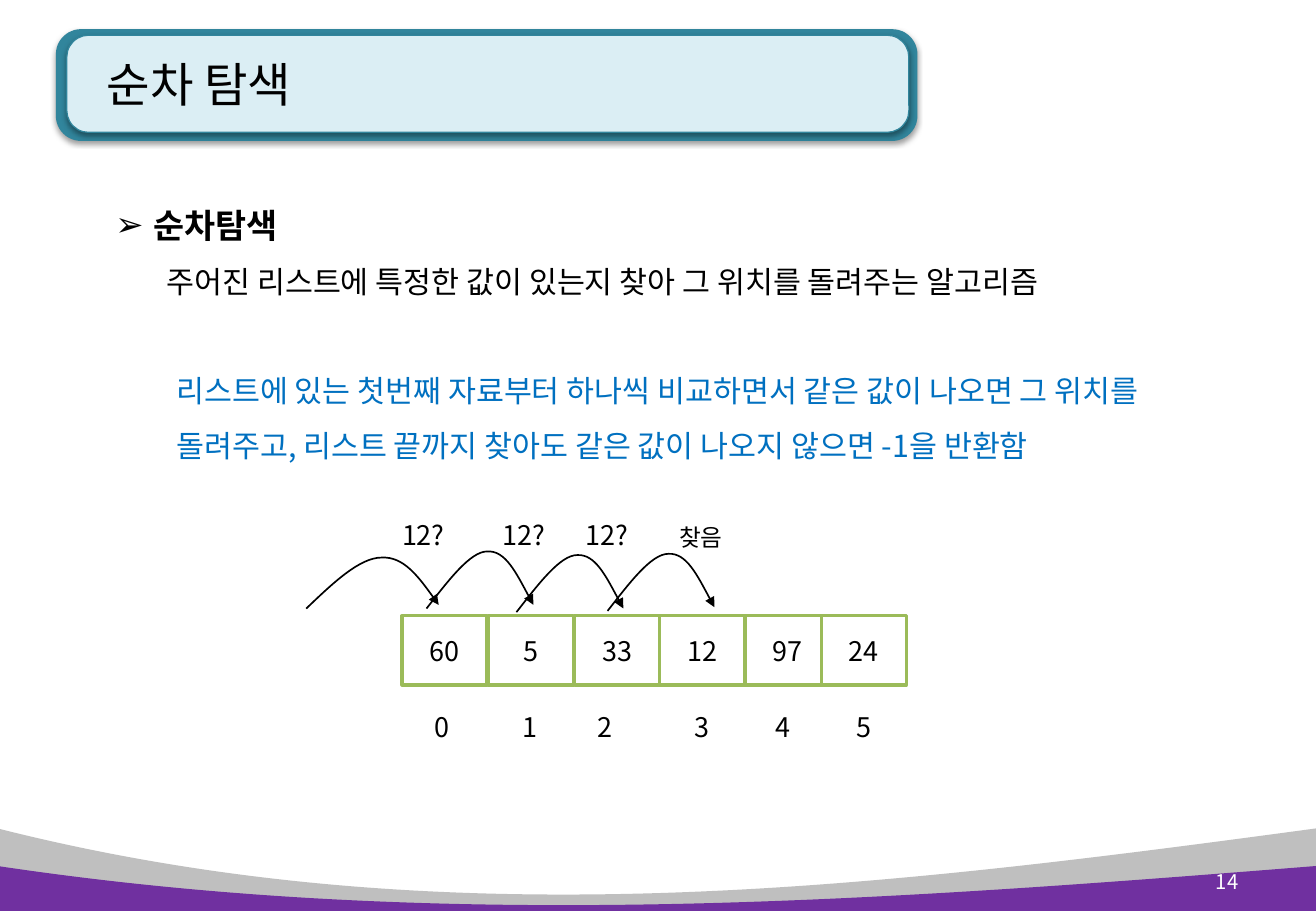
from lxml import etree
from pptx import Presentation
from pptx import util as u
from pptx.dml.color import RGBColor
from pptx.enum import shapes, text
from pptx.oxml.ns import qn

PX = 9144  # EMU in one px, 100 px to the inch
FONT = "Noto Sans CJK KR"
COLORS = {
    "black": "000000", "white": "FFFFFF", "blue": "0070C0", "gray": "BFBFBF",
    "purple": "7030A0", "teal": "31859C", "pale": "DBEEF4", "green": "9BBB59",
}

TITLE = "순차 탐색"
PAGE_NUMBER = "14"
# text, size, bold, colour, bullet, left margin, first-line indent, space before (pt)
BODY = [
    ("순차탐색", 20, True, "black", "➢", 31, -31, 0),
    ("주어진 리스트에 특정한 값이 있는지 찾아 그 위치를 돌려주는 알고리즘",
     18, False, "black", None, 42, 0, 0),
    ("리스트에 있는 첫번째 자료부터 하나씩 비교하면서 같은 값이 나오면 그 위치를 "
     "돌려주고, 리스트 끝까지 찾아도 같은 값이 나오지 않으면 -1을 반환함",
     18, False, "blue", None, 50, 0, 32),
]

# text, left
VALUES = [("60", 331), ("5", 402), ("33", 473), ("12", 543), ("97", 613), ("24", 676)]
INDEXES = [("0", 329), ("1", 401), ("2", 463), ("3", 543), ("4", 609), ("5", 676)]
CELL_WIDTH, CELL_HEIGHT = 70, 57
VALUE_TOP, INDEX_TOP = 507, 570
# text, left, top, height, size
QUESTIONS = [("12?", 321, 422, 37, 16), ("12?", 404, 422, 37, 16),
             ("12?", 472, 422, 37, 16), ("찾음", 549, 426, 34, 14)]

# An outline is a start point and segments: one point is a line, three are a curve
WAVES = [
    ("gray", (-2, 682), [[(365, 775), (720, 731), (1083, 682)],
                         [(1083, 750)], [(-2, 750)]]),
    ("purple", (-2, 713), [[(365, 768), (720, 742), (1083, 713)],
                           [(1083, 753)], [(-2, 753)]]),
]
FIRST_HOP = ((252, 501), [[(274, 480), (296, 459), (314, 459)],
                          [(332, 458), (347, 478), (361, 498)]])
NEXT_HOP = ((351, 501), [[(369, 478), (387, 454), (401, 454)],
                         [(416, 453), (427, 476), (439, 498)]])
HOP_SHIFTS = [(0, 0), (74, 3), (149, 2)]


def px(*lengths):
    return [u.Emu(length * PX) for length in lengths]


def rgb(name):
    return RGBColor.from_string(COLORS[name])


def write(paragraph, words, size=16, color="black", bold=False, align=None):
    paragraph.alignment = align
    run = paragraph.add_run()
    run.text = words
    font = run.font
    font.size, font.bold, font.name = u.Pt(size), bold, FONT
    font.color.rgb = rgb(color)
    east_asian = etree.SubElement(font._element, qn("a:ea"))
    east_asian.set("typeface", FONT)


def paint(shape, fill=None, line=None, width=1):
    shape.shadow.inherit = False
    if fill:
        shape.fill.solid()
        shape.fill.fore_color.rgb = rgb(fill)
    else:
        shape.fill.background()
    if line:
        shape.line.color.rgb = rgb(line)
        shape.line.width = u.Pt(width)
    else:
        shape.line.fill.background()


def add_outline(slide, start, segments, close):
    """Draw a freeform through the segment ends, then bend the curved segments."""
    builder = slide.shapes.build_freeform(*px(*start))
    builder.add_line_segments([px(*segment[-1]) for segment in segments], close=close)
    shape = builder.convert_to_shape()
    for step, segment in zip(list(shape.element.iter(qn("a:lnTo"))), segments):
        if len(segment) == 3:
            step.tag = qn("a:cubicBezTo")
            for position, (x, y) in enumerate(segment[:2]):
                control = etree.Element(qn("a:pt"))
                control.set("x", str(x * PX - shape.left))
                control.set("y", str(y * PX - shape.top))
                step.insert(position, control)
    return shape


def add_banner_plate(slide, box, fill, line=None):
    plate = slide.shapes.add_shape(shapes.MSO_SHAPE.ROUNDED_RECTANGLE, *px(*box))
    plate.adjustments[0] = 0.225
    paint(plate, fill, line, 0.75)
    effects = plate.element.spPr.find(qn("a:effectLst"))
    shadow = etree.SubElement(effects, qn("a:outerShdw"), blurRad="40000",
                              dist="20000", dir="5400000", rotWithShape="0")
    color = etree.SubElement(shadow, qn("a:srgbClr"), val=COLORS["black"])
    etree.SubElement(color, qn("a:alpha"), val="38000")
    return plate


def add_label(slide, box, words, anchor=text.MSO_ANCHOR.TOP, **style):
    frame = slide.shapes.add_textbox(*px(*box)).text_frame
    frame.word_wrap = True
    frame.vertical_anchor = anchor
    write(frame.paragraphs[0], words, **style)


def add_cells(group, cells, top, line=None):
    for words, left in cells:
        cell = group.shapes.add_shape(shapes.MSO_SHAPE.RECTANGLE,
                                      *px(left, top, CELL_WIDTH, CELL_HEIGHT))
        paint(cell, "white", line, 2)
        cell.text_frame.vertical_anchor = text.MSO_ANCHOR.MIDDLE
        write(cell.text_frame.paragraphs[0], words, align=text.PP_ALIGN.CENTER)


def add_hop(slide, start, segments):
    hop = add_outline(slide, start, segments, close=False)
    paint(hop, line="black")
    etree.SubElement(hop.element.spPr.find(qn("a:ln")), qn("a:tailEnd"), type="triangle")


def place(shape, box):
    shape.left, shape.top, shape.width, shape.height = px(*box)


def fill_title(title):
    place(title, (69, 22, 678, 94))
    frame = title.text_frame
    frame.auto_size = text.MSO_AUTO_SIZE.NONE
    frame.vertical_anchor = text.MSO_ANCHOR.MIDDLE
    frame.margin_left = px(19)[0]
    write(frame.paragraphs[0], TITLE, size=28, align=text.PP_ALIGN.LEFT)


def fill_body(body):
    place(body, (85, 147, 890, 288))
    frame = body.text_frame
    frame.auto_size = text.MSO_AUTO_SIZE.NONE
    for number, (words, size, bold, color, bullet, margin, indent, before) in enumerate(BODY):
        paragraph = frame.add_paragraph() if number else frame.paragraphs[0]
        properties = paragraph._p.get_or_add_pPr()
        properties.set("marL", str(margin * PX))
        properties.set("indent", str(indent * PX))
        if bullet:
            etree.SubElement(properties, qn("a:buChar"), char=bullet)
        else:
            etree.SubElement(properties, qn("a:buNone"))
        paragraph.line_spacing = 1.5
        paragraph.space_before = u.Pt(before)
        write(paragraph, words, size=size, color=color, bold=bold)


def main():
    presentation = Presentation()
    presentation.slide_width, presentation.slide_height = px(1083, 750)
    slide = presentation.slides.add_slide(presentation.slide_layouts[1])
    title, body = slide.placeholders

    backdrop = []
    for color, start, segments in WAVES:
        wave = add_outline(slide, start, segments, close=True)
        paint(wave, color)
        backdrop.append(wave)
    backdrop.append(add_banner_plate(slide, (46, 24, 709, 92), "teal"))
    backdrop.append(add_banner_plate(slide, (55, 29, 693, 80), "pale", "teal"))
    for shape in backdrop:
        title.element.addprevious(shape.element)

    fill_title(title)
    fill_body(body)
    add_label(slide, (968, 706, 61, 40), PAGE_NUMBER, text.MSO_ANCHOR.MIDDLE,
              size=12, color="white", align=text.PP_ALIGN.RIGHT)

    array = slide.shapes.add_group_shape()
    add_cells(array, VALUES, VALUE_TOP, "green")
    add_cells(array, INDEXES, INDEX_TOP)

    for words, left, top, height, size in QUESTIONS:
        add_label(slide, (left, top, 61, height), words, size=size)
    add_hop(slide, *FIRST_HOP)
    (start_x, start_y), segments = NEXT_HOP
    for dx, dy in HOP_SHIFTS:
        add_hop(slide, (start_x + dx, start_y + dy),
                [[(x + dx, y + dy) for x, y in segment] for segment in segments])

    presentation.save("out.pptx")


if __name__ == "__main__":
    main()
